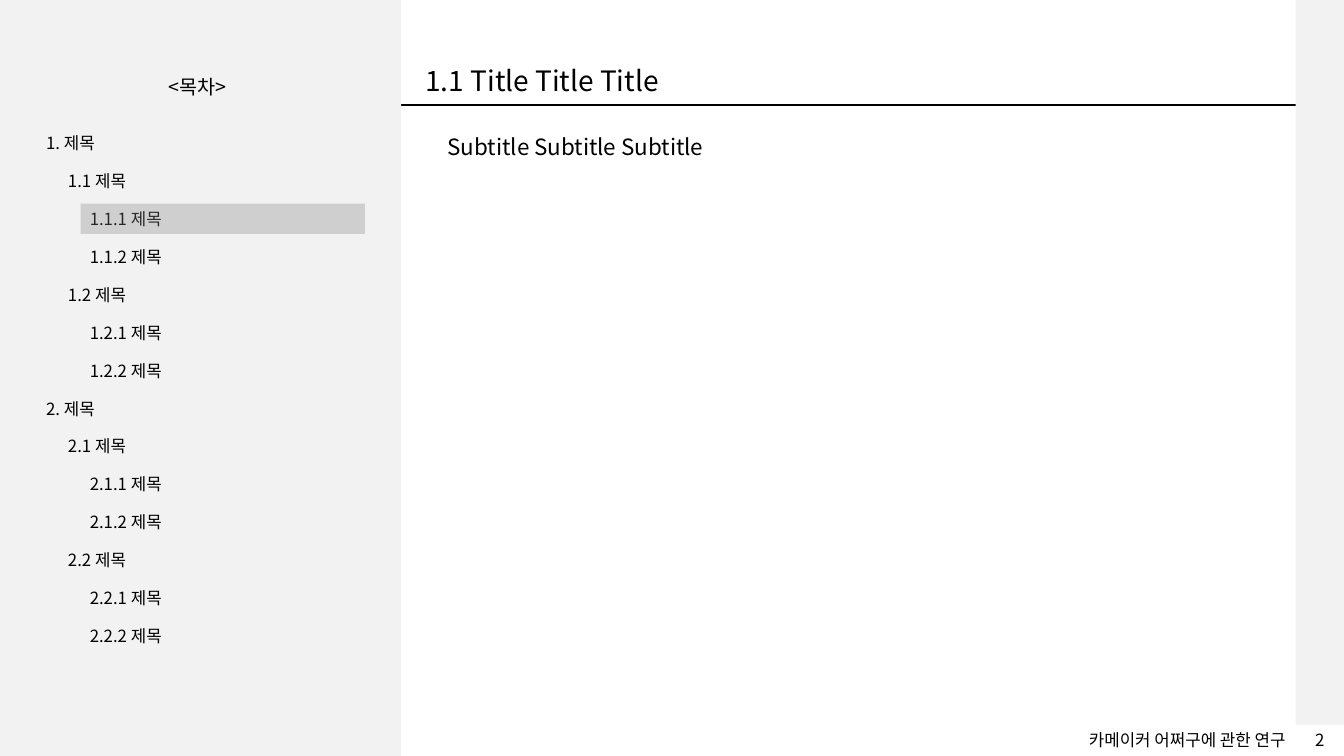
import pptx
import pptx.util
import pptx.dml.color
import pptx.enum.shapes
import pptx.enum.text
import pptx.oxml.ns
import lxml.etree

Inches = pptx.util.Inches
RGBColor = pptx.dml.color.RGBColor
Align = pptx.enum.text.PP_ALIGN
qn = pptx.oxml.ns.qn

BLACK = RGBColor(0x00, 0x00, 0x00)
PANEL = RGBColor(0xF2, 0xF2, 0xF2)
HIGHLIGHT = RGBColor(0x80, 0x80, 0x80)
FONT = "Noto Sans CJK KR"


def add_text(text, left, top, width, height, size=12, align=Align.LEFT):
    box = page.shapes.add_textbox(Inches(left), Inches(top), Inches(width), Inches(height))
    frame = box.text_frame
    frame.word_wrap = True
    frame.auto_size = pptx.enum.text.MSO_AUTO_SIZE.SHAPE_TO_FIT_TEXT
    para = frame.paragraphs[0]
    para.alignment = align
    span = para.add_run()
    span.text = text
    span.font.size = pptx.util.Pt(size)
    span.font.name = FONT
    span.font.color.rgb = BLACK
    # Korean letters take the East Asian font
    latin = span.font._element.find(qn("a:latin"))
    east_asian = lxml.etree.Element(qn("a:ea"), typeface=FONT)
    latin.addnext(east_asian)


def add_block(left, top, width, height, color):
    block = page.shapes.add_shape(pptx.enum.shapes.MSO_SHAPE.RECTANGLE,
                                  Inches(left), Inches(top), Inches(width), Inches(height))
    block.shadow.inherit = False
    block.fill.solid()
    block.fill.fore_color.rgb = color
    block.line.fill.background()
    return block


deck = pptx.Presentation()
deck.slide_width = Inches(13.33)
deck.slide_height = Inches(7.5)
page = deck.slides.add_slide(deck.slide_layouts[6])

# Rule under the title
rule = page.shapes.add_connector(pptx.enum.shapes.MSO_CONNECTOR.STRAIGHT,
                                 Inches(0), Inches(1.04), Inches(13.33), Inches(1.04))
rule.line.color.rgb = BLACK
rule.line.width = pptx.util.Pt(1.5)
lxml.etree.SubElement(rule._element.spPr, qn("a:effectLst"))

# Contents panel: each dot level is one indent step
add_block(0, 0, 3.98, 7.5, PANEL)
add_text("<목차>", 0.36, 0.69, 3.19, 0.34, size=14, align=Align.CENTER)
numbers = []
for chapter in (1, 2):
    numbers.append((f"{chapter}.", 0))
    for section in (1, 2):
        numbers.append((f"{chapter}.{section}", 1))
        for part in (1, 2):
            numbers.append((f"{chapter}.{section}.{part}", 2))
for row, (number, level) in enumerate(numbers):
    add_text(f"{number} 제목", 0.36 + 0.216 * level, 1.27 + 0.376 * row, 3.19, 0.3)

# Title and subtitle
add_text("1.1 Title Title Title", 4.12, 0.58, 6.24, 0.44, size=20)
add_text("Subtitle Subtitle Subtitle", 4.34, 1.27, 3.26, 0.37, size=16)

# Highlight over the current entry, 30 % opaque
marker = add_block(0.8, 2.02, 2.82, 0.3, HIGHLIGHT)
marker_color = marker._element.spPr.find(qn("a:solidFill")).find(qn("a:srgbClr"))
lxml.etree.SubElement(marker_color, qn("a:alpha"), val="30000")

# Right strip and footer
add_text("2", 12.85, 7.19, 0.48, 0.3, align=Align.CENTER)
add_block(12.85, 0, 0.48, 7.19, PANEL)
add_text("카메이커 어쩌구에 관한 연구", 9.23, 7.19, 3.62, 0.3, align=Align.RIGHT)

deck.save("out.pptx")
